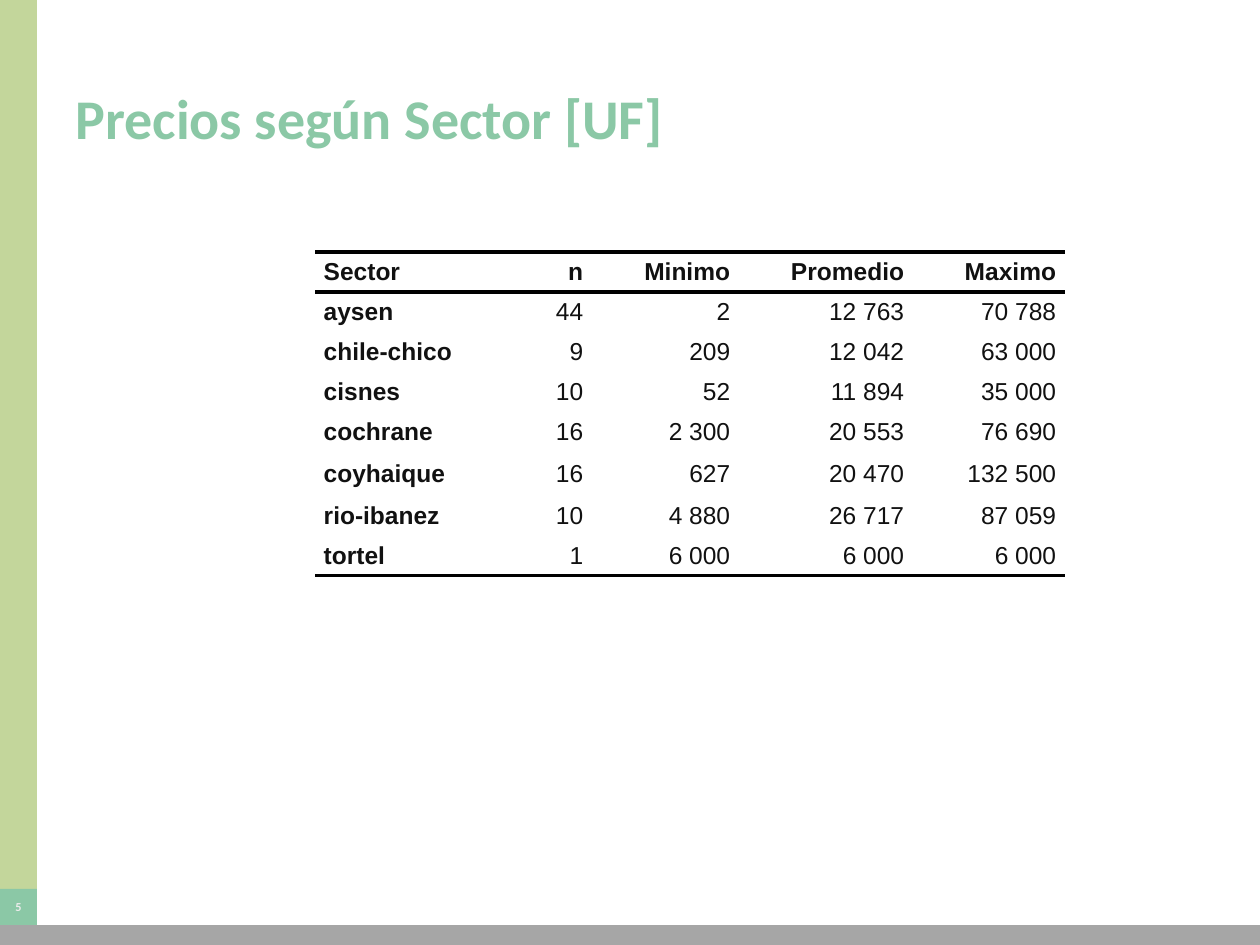
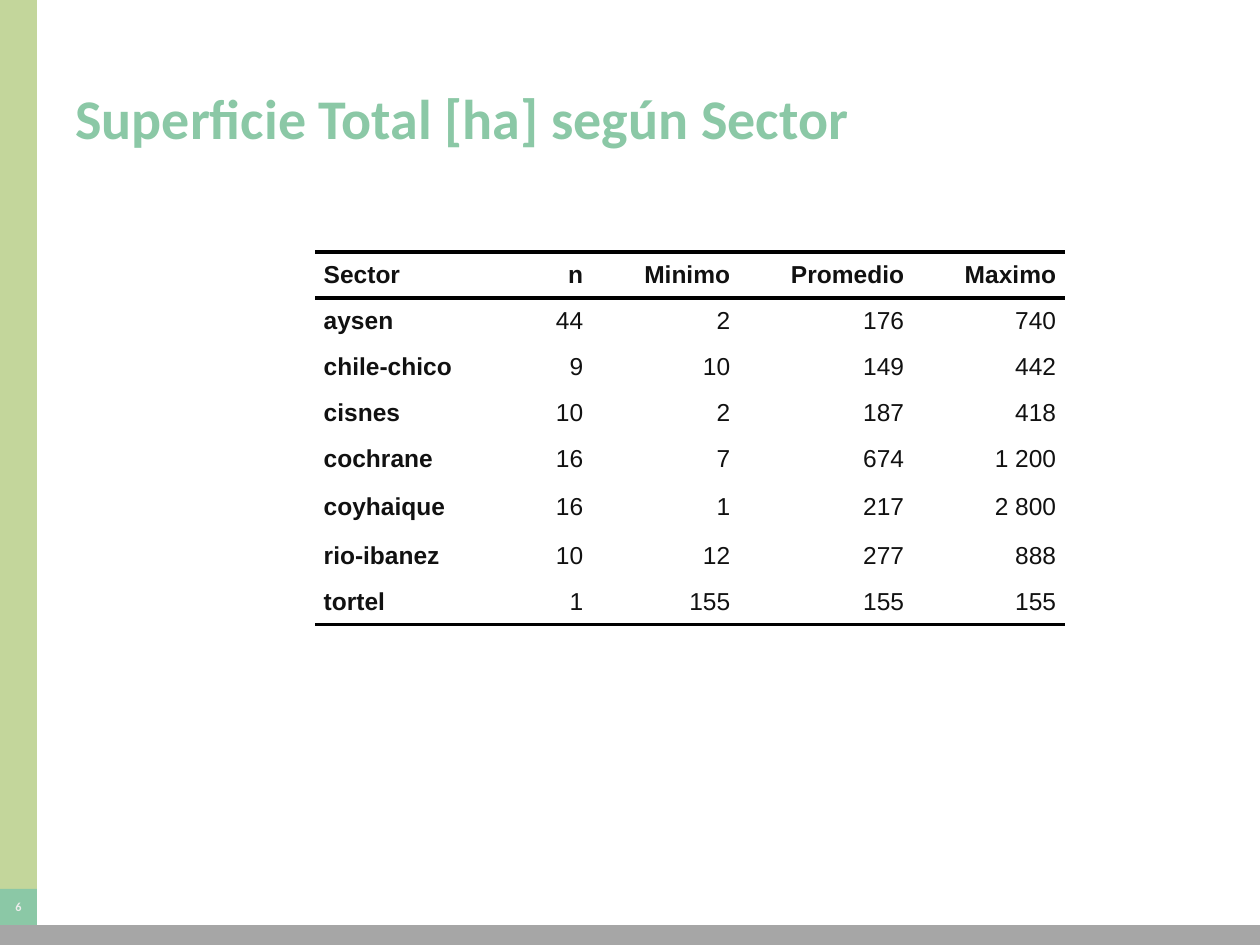
from pptx import Presentation
from pptx import util as u
from pptx.dml.color import RGBColor
from pptx.enum import shapes, text
from pptx.oxml import parse_xml
from pptx.oxml.ns import nsdecls

# Shared style
LIME = RGBColor(0xC3, 0xD6, 0x9B)
MINT = RGBColor(0x8B, 0xC8, 0xA6)
GREY = RGBColor(0xA6, 0xA6, 0xA6)
PALE = RGBColor(0xEC, 0xEC, 0xEC)
INK = RGBColor(0x11, 0x11, 0x11)
RULE = RGBColor(0x00, 0x00, 0x00)

PX_PER_INCH = 126
WIDTH, HEIGHT = 1260, 945
SIDE_WIDTH = 37
NUMBER_TOP, FOOTER_TOP = 889, 925
COLUMN_WIDTHS = [189, 88, 147, 174, 152]
TALL_ROW = 5
NO_STYLE = "{2D5ABB26-0587-4C30-8999-92F81FD0307C}"

# Slide content
HEADER = ["Sector", "n", "Minimo", "Promedio", "Maximo"]
SECTORS = [("aysen", "44"), ("chile-chico", "9"), ("cisnes", "10"),
           ("cochrane", "16"), ("coyhaique", "16"), ("rio-ibanez", "10"),
           ("tortel", "1")]
PRICES = [("2", "12 763", "70 788"), ("209", "12 042", "63 000"),
          ("52", "11 894", "35 000"), ("2 300", "20 553", "76 690"),
          ("627", "20 470", "132 500"), ("4 880", "26 717", "87 059"),
          ("6 000", "6 000", "6 000")]
AREAS = [("2", "176", "740"), ("10", "149", "442"), ("2", "187", "418"),
         ("7", "674", "1 200"), ("1", "217", "2 800"), ("12", "277", "888"),
         ("155", "155", "155")]
# Number, title, figures, row height, height of the tall row
PAGES = [(5, "Precios según Sector [UF]", PRICES, 40, 44),
         (6, "Superficie Total [ha] según Sector", AREAS, 46, 51)]


def px(length):
    return u.Emu(round(length * 914400 / PX_PER_INCH))


class Deck:
    def __init__(self):
        self.deck = Presentation()
        self.deck.slide_width, self.deck.slide_height = px(WIDTH), px(HEIGHT)
        self.page = None

    def add_page(self, number):
        self.page = self.deck.slides.add_slide(self.deck.slide_layouts[6])
        self.band(0, 0, SIDE_WIDTH, NUMBER_TOP, LIME)
        badge = self.band(0, NUMBER_TOP, SIDE_WIDTH,
                          FOOTER_TOP - NUMBER_TOP, MINT)
        self.band(0, FOOTER_TOP, WIDTH, HEIGHT - FOOTER_TOP, GREY)
        frame = badge.text_frame
        frame.margin_left = frame.margin_right = 0
        frame.margin_top = frame.margin_bottom = 0
        self.words(frame, str(number), 7, PALE, align=text.PP_ALIGN.CENTER)

    def band(self, left, top, width, height, color):
        box = self.page.shapes.add_shape(
            shapes.MSO_SHAPE.RECTANGLE,
            px(left), px(top), px(width), px(height))
        box.shadow.inherit = False
        box.fill.solid()
        box.fill.fore_color.rgb = color
        box.line.fill.background()
        return box

    def words(self, frame, wording, size, color, font="Calibri", bold=True,
              align=text.PP_ALIGN.LEFT):
        frame.text = wording
        frame.vertical_anchor = text.MSO_ANCHOR.MIDDLE
        para = frame.paragraphs[0]
        para.alignment = align
        span = para.runs[0]
        span.font.name, span.font.size = font, u.Pt(size)
        span.font.bold, span.font.color.rgb = bold, color
        return para

    def title(self, wording):
        box = self.page.shapes.add_textbox(px(63), px(38), px(1134), px(158))
        box.text_frame.word_wrap = True
        self.words(box.text_frame, wording, 32, MINT)

    def table(self, left, top, rows, heights):
        grid = self.page.shapes.add_table(
            len(rows), len(COLUMN_WIDTHS), px(left), px(top),
            px(sum(COLUMN_WIDTHS)), px(sum(heights))).table
        grid.first_row = grid.horz_banding = False
        grid._tbl.tblPr[0].text = NO_STYLE
        for column, width in zip(grid.columns, COLUMN_WIDTHS):
            column.width = px(width)
        for r, (values, height) in enumerate(zip(rows, heights)):
            grid.rows[r].height = px(height)
            sides = {0: "TB", len(rows) - 1: "B"}.get(r, "")
            for c, value in enumerate(values):
                self.cell(grid.cell(r, c), value, r == 0 or c == 0,
                          c > 0, sides)

    def cell(self, cell, value, bold, to_right, sides):
        cell.margin_left = cell.margin_right = 0
        cell.margin_top = cell.margin_bottom = 0
        cell.fill.background()
        align = text.PP_ALIGN.RIGHT if to_right else text.PP_ALIGN.LEFT
        para = self.words(cell.text_frame, value, 14, INK, "Arial", bold, align)
        cell.vertical_anchor = text.MSO_ANCHOR.MIDDLE
        para.space_before = para.space_after = u.Pt(2)
        for side in ("marL", "marR"):
            para._p.get_or_add_pPr().set(side, str(int(u.Pt(5))))
        # Borders come before the fill, top first
        for place, side in enumerate(sides):
            cell._tc.get_or_add_tcPr().insert(place, parse_xml(
                f'<a:ln{side} {nsdecls("a")} w="{int(u.Pt(2))}"><a:solidFill>'
                f'<a:srgbClr val="{RULE}"/></a:solidFill></a:ln{side}>'))


def main():
    deck = Deck()
    for number, title, figures, height, tall in PAGES:
        deck.add_page(number)
        deck.title(title)
        rows = [HEADER] + [[*sector, *values]
                           for sector, values in zip(SECTORS, figures)]
        heights = [tall if r == TALL_ROW else height for r in range(len(rows))]
        deck.table(315, 252, rows, heights)
    deck.deck.save("out.pptx")


if __name__ == "__main__":
    main()
